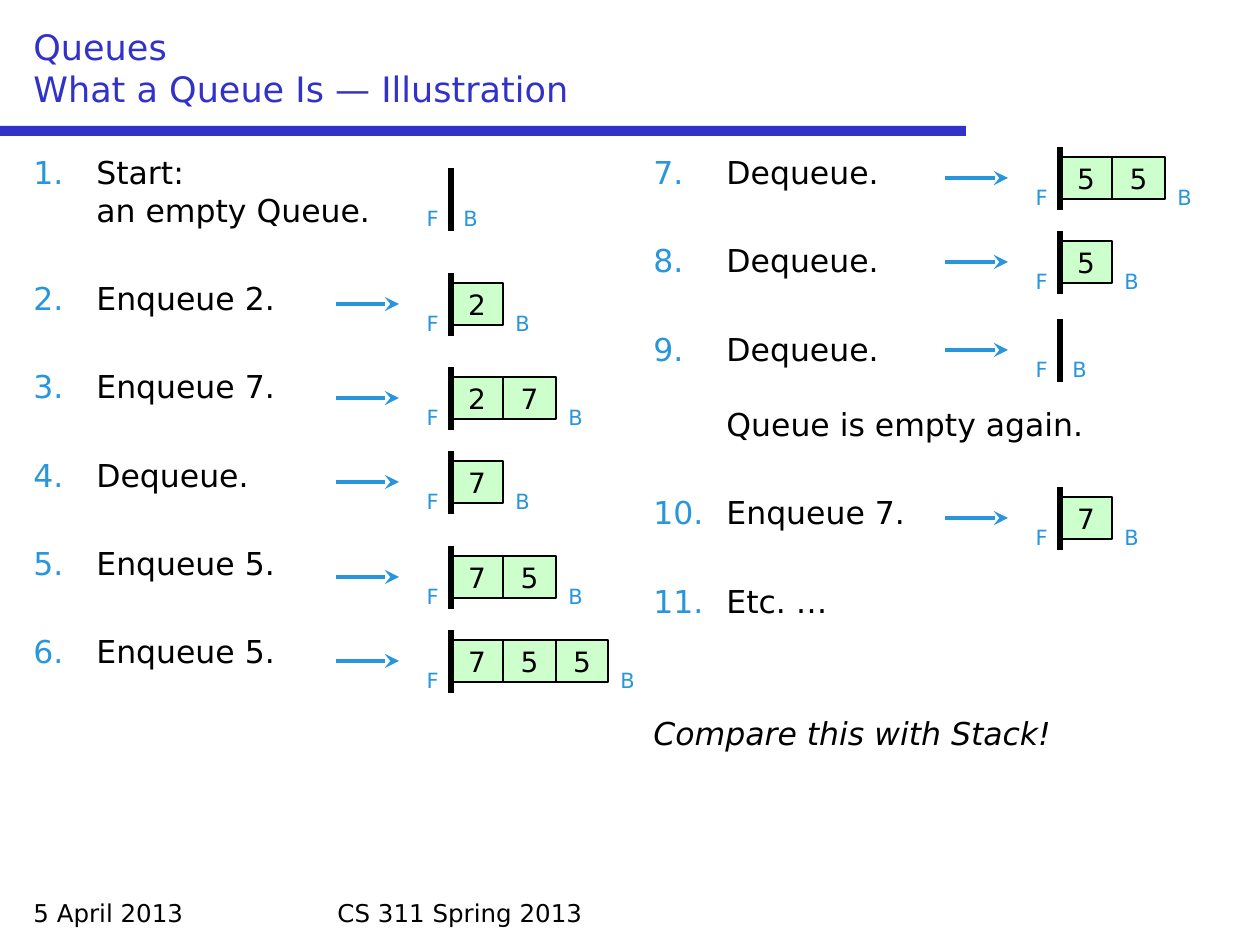
import pptx
import pptx.util
import pptx.dml.color
import pptx.enum.shapes
import pptx.enum.text
import pptx.oxml.ns
import lxml.etree
import dataclasses

ALIGN = pptx.enum.text.PP_ALIGN
ANCHOR = pptx.enum.text.MSO_ANCHOR


@dataclasses.dataclass
class Theme:
    font: str = "DejaVu Sans"
    ink: str = "000000"
    title: str = "3232C8"
    accent: str = "2896DC"
    cell: str = "CCFFCC"
    head: int = 20
    body: int = 18
    item: int = 16
    foot: int = 14
    label: int = 12
    pitch: float = 1.2


THEME = Theme()


def px(value):
    return round(value * 914400 / 126)


def rgb(value):
    return pptx.dml.color.RGBColor.from_string(value)


def add(parent, tag, **attrs):
    node = lxml.etree.SubElement(parent, pptx.oxml.ns.qn(tag))
    for key, value in attrs.items():
        node.set(key, str(value))
    return node


def write(frame, text, size=THEME.body, color=THEME.ink, align=ALIGN.LEFT,
          italic=False, gap=0, margin=0, start=None):
    """Add one paragraph; start makes it part of a numbered list."""
    para = frame.paragraphs[0]
    if para.runs:
        para = frame.add_paragraph()
    para.text = text
    para.alignment = align
    para.line_spacing = pptx.util.Pt(size * THEME.pitch)
    para.space_before = pptx.util.Pt(gap)
    for run in para.runs:
        run.font.name = THEME.font
        run.font.size = pptx.util.Pt(size)
        run.font.italic = italic
        run.font.color.rgb = rgb(color)
    props = para._p.get_or_add_pPr()
    props.set("marL", str(px(margin)))
    props.set("indent", str(-px(margin) if start else 0))
    if start:
        add(add(props, "a:buClr"), "a:srgbClr", val=THEME.accent)
        add(props, "a:buFont", typeface=THEME.font)
        add(props, "a:buAutoNum", type="arabicPeriod", startAt=start)


class Board:
    def __init__(self, theme, slide):
        self.theme = theme
        self.slide = slide

    def text(self, x, y, w, h, anchor=ANCHOR.TOP):
        box = self.slide.shapes.add_textbox(px(x), px(y), px(w), px(h))
        box.text_frame.word_wrap = True
        box.text_frame.vertical_anchor = anchor
        return box.text_frame

    def rect(self, x, y, w, h, fill, line=None):
        kind = pptx.enum.shapes.MSO_SHAPE.RECTANGLE
        shape = self.slide.shapes.add_shape(kind, px(x), px(y), px(w), px(h))
        shape.shadow.inherit = False
        shape.fill.solid()
        shape.fill.fore_color.rgb = rgb(fill)
        if line:
            shape.line.color.rgb = rgb(line)
            shape.line.width = pptx.util.Pt(1)
        else:
            shape.line.fill.background()
        return shape.text_frame

    def line(self, x, y, x2, y2, color, width, arrow=False):
        kind = pptx.enum.shapes.MSO_CONNECTOR.STRAIGHT
        line = self.slide.shapes.add_connector(kind, px(x), px(y), px(x2), px(y2))
        line.line.color.rgb = rgb(color)
        line.line.width = pptx.util.Pt(width)
        if arrow:
            add(line.line._get_or_add_ln(), "a:tailEnd", type="stealth")
        add(line._element.spPr, "a:effectLst")

    def label(self, x, y, text, align):
        write(self.text(x, y, 42, 38), text, size=self.theme.label,
              color=self.theme.accent, align=align)

    def queue(self, x, y, items, arrow=True):
        """Draw a queue whose front bar has its top at x, y."""
        mid = y + 31
        edges = [x + 105 * i // 2 for i in range(len(items) + 1)]
        if arrow:
            self.line(x - 115, mid, x - 52, mid, self.theme.accent, 2.75, True)
        for item, left, right in zip(items, edges, edges[1:]):
            frame = self.rect(left, y + 10, right - left, 42,
                              self.theme.cell, self.theme.ink)
            frame.word_wrap = False
            frame.vertical_anchor = ANCHOR.MIDDLE
            write(frame, item, size=self.theme.item, align=ALIGN.CENTER)
        self.label(x - 42, mid, "F", ALIGN.RIGHT)
        self.label(edges[-1], mid, "B", ALIGN.LEFT)
        self.line(x, y + 63, x, y, self.theme.ink, 3)


deck = pptx.Presentation()
deck.slide_width, deck.slide_height = px(1260), px(945)
board = Board(THEME, deck.slides.add_slide(deck.slide_layouts[6]))

# Title, rule and footer
board.rect(0, 126, 966, 10, THEME.title)
write(board.text(21, 21, 1218, 95, ANCHOR.BOTTOM),
      "Queues\vWhat a Queue Is — Illustration", size=THEME.head, color=THEME.title)
write(board.text(21, 892, 294, 42), "5 April 2013", size=THEME.foot)
write(board.text(325, 892, 609, 42), "CS 311 Spring 2013", size=THEME.foot)

# Left steps
GAP = 28.8
steps = board.text(21, 147, 597, 735)
for i, step in enumerate(["Start:\van empty Queue.", "Enqueue 2.", "Enqueue 7.",
                          "Dequeue.", "Enqueue 5.", "Enqueue 5."]):
    write(steps, step, gap=GAP if i else 0, margin=63, start=1)

# Right steps
steps = board.text(641, 147, 597, 735)
for i in range(3):
    write(steps, "Dequeue.", gap=GAP if i else 0, margin=73, start=7)
write(steps, "Queue is empty again.", gap=21.6, margin=73)
for step in ["Enqueue 7.", "Etc. …"]:
    write(steps, step, gap=GAP, margin=73, start=10)
write(steps, "Compare this with Stack!", gap=54, italic=True)

# Queue after each step
LEFT, RIGHT = 451, 1060
for x, y, items in [
    (LEFT, 168, ""), (LEFT, 273, "2"), (LEFT, 367, "27"),
    (LEFT, 451, "7"), (LEFT, 546, "75"), (LEFT, 630, "755"),
    (RIGHT, 147, "55"), (RIGHT, 231, "5"), (RIGHT, 319, ""), (RIGHT, 487, "7"),
]:
    board.queue(x, y, items, arrow=(x, y) != (LEFT, 168))

deck.save("out.pptx")
